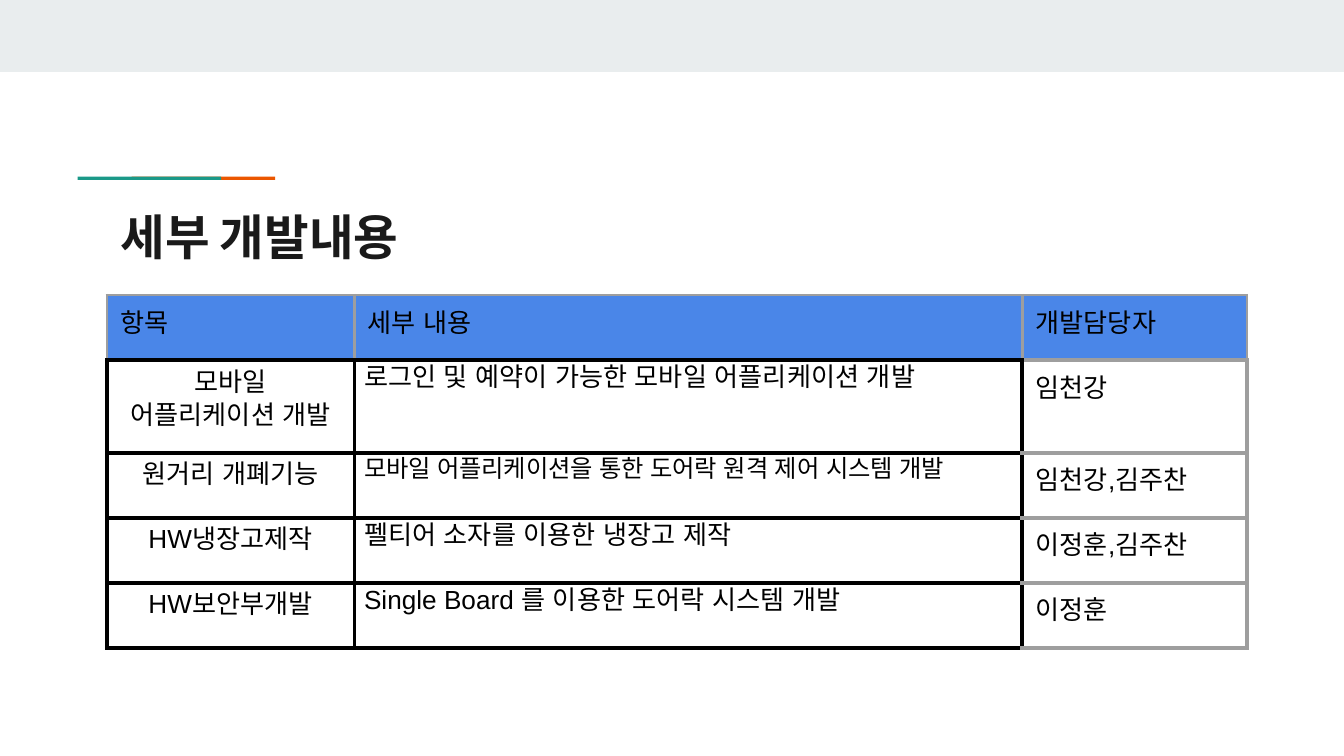
import dataclasses
import typing
import lxml.etree
import pptx
import pptx.dml.color
import pptx.enum.shapes
import pptx.enum.text
import pptx.oxml
import pptx.oxml.ns
import pptx.util

Cm = pptx.util.Cm
Pt = pptx.util.Pt
HUES = {"band": "E9EDEE", "teal": "1A9988", "orange": "EB5600", "title": "1A1A1A",
        "head": "4A86E8", "black": "000000", "gray": "9E9E9E"}


@dataclasses.dataclass
class Bar:
    left: float
    top: float
    width: float
    height: float
    hue: str


@dataclasses.dataclass
class Style:
    side: float
    edge: float
    lines: dict[str, tuple[str, float]]
    fill: str = ""
    center: bool = False


@dataclasses.dataclass
class Task:
    item: list[str]
    detail: str
    owner: str
    size: float = 14


BARS = [Bar(0, 0, 25.4, 1.36, "band"),
        Bar(2.49, 3.34, 2.71, 0.06, "orange"),
        Bar(1.47, 3.34, 2.71, 0.06, "teal")]
HEADS = ["항목", "세부 내용", "개발담당자"]
TASKS = [
    Task(["모바일", "어플리케이션 개발"], "로그인 및 예약이 가능한 모바일 어플리케이션 개발", "임천강"),
    Task(["원거리 개폐기능"], "모바일 어플리케이션을 통한 도어락 원격 제어 시스템 개발", "임천강,김주찬", 13),
    Task(["HW냉장고제작"], "펠티어 소자를 이용한 냉장고 제작", "이정훈,김주찬"),
    Task(["HW보안부개발"], "Single Board 를 이용한 도어락 시스템 개발", "이정훈"),
]
WIDTHS = [4.68, 12.62, 4.25]
HIGHS = [1.23, 1.75, 1.23, 1.23, 1.23]

BLACK = ("black", 2.25)
GRAY = ("gray", 2.25)
THIN = ("gray", 1.5)
BOX = {edge: BLACK for edge in "LRTB"}
TOP = {"L": THIN, "R": THIN, "T": THIN, "B": BLACK}
HEAD = Style(0.25, 0.25, TOP, "head")
LAST = Style(0.25, 0.25, {**TOP, "B": GRAY}, "head")
ITEM = Style(0.18, 0.05, BOX, center=True)
DETAIL = Style(0.18, 0.05, BOX)
OWNER = Style(0.25, 0.25, {"L": BLACK, "R": GRAY, "T": GRAY, "B": GRAY})


def color(name: str) -> pptx.dml.color.RGBColor:
    return pptx.dml.color.RGBColor.from_string(HUES[name])


def add_run(para: typing.Any, text: str, size: float, hue: str,
            face: str = "Arial", bold: bool = False) -> None:
    run = para.add_run()
    run.text = text
    run.font.size = Pt(size)
    run.font.name = face
    run.font.bold = bold
    run.font.color.rgb = color(hue)
    props = run._r.get_or_add_rPr()
    lxml.etree.SubElement(props, pptx.oxml.ns.qn("a:ea")).set("typeface", face)


def draw_bar(slide: typing.Any, bar: Bar) -> None:
    shape = slide.shapes.add_shape(
        pptx.enum.shapes.MSO_SHAPE.RECTANGLE,
        Cm(bar.left), Cm(bar.top), Cm(bar.width), Cm(bar.height))
    shape.shadow.inherit = False
    shape.fill.solid()
    shape.fill.fore_color.rgb = color(bar.hue)
    shape.line.fill.background()


def set_lines(cell: typing.Any, lines: dict[str, tuple[str, float]]) -> None:
    props = cell._tc.get_or_add_tcPr()
    space = pptx.oxml.ns.nsdecls("a")
    for spot, edge in enumerate("LRTB"):
        hue, width = lines[edge]
        props.insert(spot, pptx.oxml.parse_xml(
            f'<a:ln{edge} {space} w="{Pt(width)}"><a:solidFill>'
            f'<a:srgbClr val="{HUES[hue]}"/></a:solidFill></a:ln{edge}>'))


def fill_cell(cell: typing.Any, texts: list[str], style: Style, size: float = 14) -> None:
    cell.margin_left = cell.margin_right = Cm(style.side)
    cell.margin_top = cell.margin_bottom = Cm(style.edge)
    if style.fill:
        cell.fill.solid()
        cell.fill.fore_color.rgb = color(style.fill)
    else:
        cell.fill.background()
    set_lines(cell, style.lines)
    frame = cell.text_frame
    for spot, text in enumerate(texts):
        para = frame.add_paragraph() if spot else frame.paragraphs[0]
        if style.center:
            para.alignment = pptx.enum.text.PP_ALIGN.CENTER
            para.line_spacing = 1.15
        add_run(para, text, size, "black")


def draw_title(slide: typing.Any, text: str) -> None:
    title = slide.shapes.title
    title.left, title.top, title.width, title.height = Cm(2.03), Cm(3.66), Cm(21.36), Cm(1.5)
    frame = title.text_frame
    frame.word_wrap = True
    frame.auto_size = pptx.enum.text.MSO_AUTO_SIZE.NONE
    frame.vertical_anchor = pptx.enum.text.MSO_ANCHOR.TOP
    frame.margin_left = frame.margin_right = Cm(0.25)
    frame.margin_top = frame.margin_bottom = Cm(0.25)
    para = frame.paragraphs[0]
    para.alignment = pptx.enum.text.PP_ALIGN.LEFT
    add_run(para, text, 26, "title", "Manrope", True)


def draw_table(slide: typing.Any) -> None:
    table = slide.shapes.add_table(
        len(HIGHS), len(WIDTHS), Cm(2.02), Cm(5.58), Cm(sum(WIDTHS)), Cm(sum(HIGHS))).table
    table.first_row = False
    table.horz_banding = False
    for column, width in zip(table.columns, WIDTHS):
        column.width = Cm(width)
    for row, high in zip(table.rows, HIGHS):
        row.height = Cm(high)
    for col, (text, style) in enumerate(zip(HEADS, [HEAD, HEAD, LAST])):
        fill_cell(table.cell(0, col), [text], style)
    for row, task in enumerate(TASKS, 1):
        fill_cell(table.cell(row, 0), task.item, ITEM)
        fill_cell(table.cell(row, 1), [task.detail], DETAIL, task.size)
        fill_cell(table.cell(row, 2), [task.owner], OWNER)


def main() -> None:
    deck = pptx.Presentation()
    deck.slide_width, deck.slide_height = Cm(25.4), Cm(14.29)
    slide = deck.slides.add_slide(deck.slide_layouts[5])
    for bar in BARS:
        draw_bar(slide, bar)
    draw_title(slide, "세부 개발내용")
    draw_table(slide)
    deck.save("out.pptx")


main()
